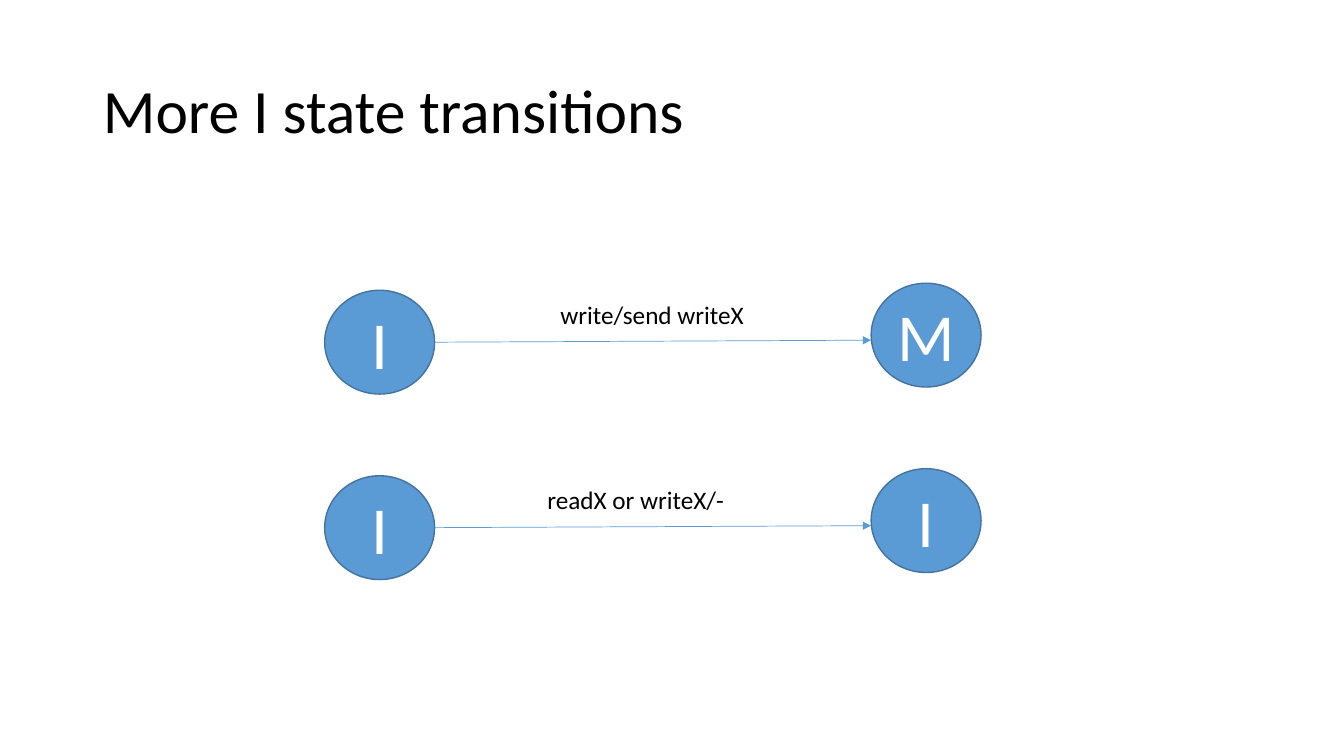
from lxml.etree import SubElement
from pptx import Presentation
from pptx.dml.color import RGBColor
from pptx.enum.shapes import MSO_CONNECTOR, MSO_SHAPE
from pptx.enum.text import MSO_ANCHOR, MSO_AUTO_SIZE, PP_ALIGN
from pptx.oxml.ns import qn
from pptx.util import Inches, Pt

BLUE, OUTLINE, BLACK, WHITE = "5B9BD5", "43739E", "000000", "FFFFFF"
STATE_WIDTH, STATE_HEIGHT = 1.09, 1.03
FROM_LEFT, TO_LEFT = 3.22, 8.64
TO_RISE = 0.07  # the target state sits slightly above the source state


def paint(target, color):
    """Give a font, or a solid fill, the colour of a hex string."""
    if hasattr(target, "solid"):
        target.solid()
        target.fore_color.rgb = RGBColor.from_string(color)
    else:
        target.color.rgb = RGBColor.from_string(color)


def write(shape, text, size, color, align=PP_ALIGN.LEFT):
    """Put one formatted line of text into a shape."""
    shape.text_frame.text = text
    para = shape.text_frame.paragraphs[0]
    para.alignment = align
    font = para.runs[0].font
    font.name, font.size = "Calibri", Pt(size)
    paint(font, color)
    return para


deck = Presentation()
deck.slide_width, deck.slide_height = Inches(13.33), Inches(7.5)
page = deck.slides.add_slide(deck.slide_layouts[5])

title = page.shapes.title
title.left, title.top = Inches(0.92), Inches(0.4)
title.width, title.height = Inches(11.5), Inches(1.45)
title.text_frame.vertical_anchor = MSO_ANCHOR.MIDDLE
write(title, "More I state transitions", 44, BLACK).line_spacing = 0.9

# Source state, target state, label, top of source state, label left and width
transitions = [
    ("I", "M", "write/send writeX", 2.88, 5.46, 2.04),
    ("I", "I", "readX or writeX/-", 4.72, 5.33, 1.98),
]
for source, target, label, top, label_left, label_width in transitions:
    for name, left, state_top in [(source, FROM_LEFT, top),
                                  (target, TO_LEFT, top - TO_RISE)]:
        state = page.shapes.add_shape(
            MSO_SHAPE.OVAL, Inches(left), Inches(state_top),
            Inches(STATE_WIDTH), Inches(STATE_HEIGHT))
        state.shadow.inherit = False
        paint(state.fill, BLUE)
        paint(state.line.fill, OUTLINE)
        state.line.width = Pt(1)
        state.text_frame.vertical_anchor = MSO_ANCHOR.MIDDLE
        write(state, name, 48, WHITE, PP_ALIGN.CENTER)

    middle = top + STATE_HEIGHT / 2
    arrow = page.shapes.add_connector(
        MSO_CONNECTOR.STRAIGHT, Inches(FROM_LEFT + STATE_WIDTH), Inches(middle),
        Inches(TO_LEFT), Inches(middle - 0.02))
    paint(arrow.line.fill, BLUE)
    arrow.line.width = Pt(0.5)
    SubElement(arrow.line._get_or_add_ln(), qn("a:tailEnd"), type="triangle")
    SubElement(arrow._element.spPr, qn("a:effectLst"))

    box = page.shapes.add_textbox(Inches(label_left), Inches(top + 0.04),
                                  Inches(label_width), Inches(0.4))
    box.text_frame.word_wrap = False
    box.text_frame.auto_size = MSO_AUTO_SIZE.SHAPE_TO_FIT_TEXT
    write(box, label, 18, BLACK)

deck.save("out.pptx")
